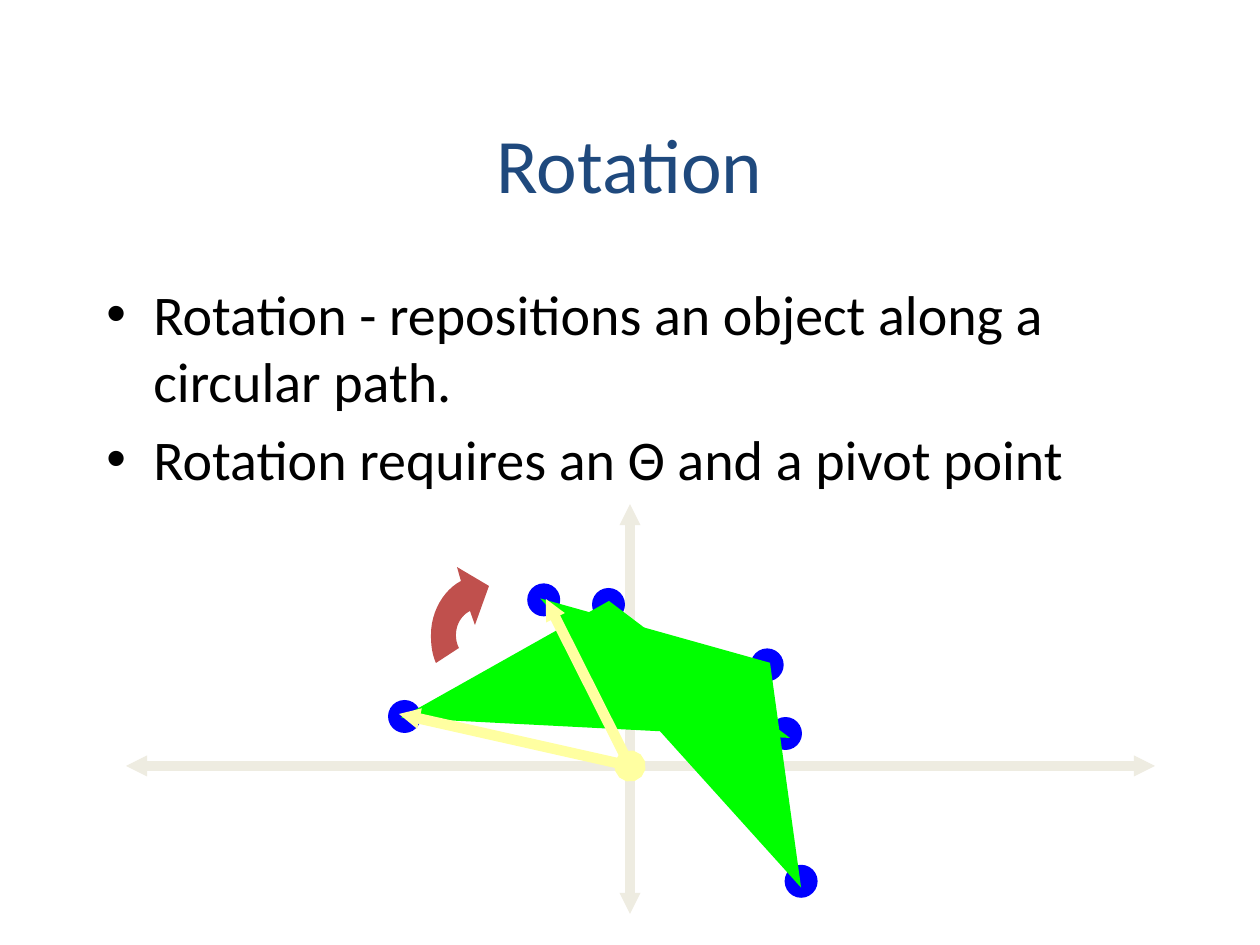
from lxml.etree import SubElement
from pptx import Presentation
from pptx.dml.color import RGBColor
from pptx.enum.shapes import MSO_CONNECTOR, MSO_SHAPE
from pptx.enum.text import MSO_ANCHOR, PP_ALIGN
from pptx.oxml.ns import qn
from pptx.util import Emu, Pt

PX = 914400 / 126
COLORS = {
    "title": "1F497D",
    "text": "000000",
    "axis": "EEECE1",
    "vertex": "0000FF",
    "triangle": "00FF00",
    "turn": "C0504D",
    "vector": "FFFFA1",
}


def px(value):
    return Emu(round(value * PX))


def curve(start, first, second, end, steps=12):
    """Points along a cubic Bezier curve, without its start."""
    points = []
    for step in range(1, steps + 1):
        t = step / steps
        weights = ((1 - t) ** 3, 3 * t * (1 - t) ** 2, 3 * t * t * (1 - t), t ** 3)
        points.append(tuple(
            sum(weight * value for weight, value in zip(weights, axis))
            for axis in zip(start, first, second, end)))
    return points


class SlidePainter:
    font_name = "Calibri"

    def __init__(self, slide):
        self.slide = slide

    def color(self, name):
        return RGBColor.from_string(COLORS[name])

    def paint(self, shape, color):
        shape.shadow.inherit = False
        shape.fill.solid()
        shape.fill.fore_color.rgb = self.color(color)
        shape.line.fill.background()

    def text(self, box, lines, size, color, anchor, para_format, bullet=None):
        frame = self.slide.shapes.add_textbox(*map(px, box)).text_frame
        frame.word_wrap = True
        frame.vertical_anchor = anchor
        for index, line in enumerate(lines):
            para = frame.add_paragraph() if index else frame.paragraphs[0]
            for name, value in para_format.items():
                setattr(para, name, value)
            if bullet:
                self.bullet(para, bullet)
            span = para.add_run()
            span.text = line
            for name, value in {"name": self.font_name, "size": Pt(size)}.items():
                setattr(span.font, name, value)
            span.font.color.rgb = self.color(color)

    def bullet(self, para, character, indent=47):
        properties = para._p.get_or_add_pPr()
        properties.set("marL", str(px(indent)))
        properties.set("indent", str(-px(indent)))
        SubElement(properties, qn("a:buFont"), typeface="Arial")
        SubElement(properties, qn("a:buChar"), char=character)

    def arrow(self, start, end, color, head=None, tail="triangle"):
        line = self.slide.shapes.add_connector(
            MSO_CONNECTOR.STRAIGHT, *map(px, (*start, *end)))
        line.line.width = Pt(6)
        line.line.color.rgb = self.color(color)
        outline = line.line._get_or_add_ln()
        for tag, kind in (("a:headEnd", head), ("a:tailEnd", tail)):
            if kind:
                size = "med" if kind == "oval" else "sm"
                SubElement(outline, qn(tag), type=kind, w=size, len=size)
        SubElement(line._element.spPr, qn("a:effectLst"))

    def outline(self, points, color, shapes=None):
        shapes = self.slide.shapes if shapes is None else shapes
        corners = [(px(x), px(y)) for x, y in points]
        builder = shapes.build_freeform(*corners[0])
        builder.add_line_segments(corners[1:], close=True)
        self.paint(builder.convert_to_shape(), color)

    def marked_triangle(self, shift=(0, 0), angle=0):
        group = self.slide.shapes.add_group_shape()
        for left, top in ((388, 700), (769, 717), (592, 588)):
            dot = group.shapes.add_shape(
                MSO_SHAPE.OVAL, px(left), px(top), px(33), px(33))
            self.paint(dot, "vertex")
        self.outline([(609, 601), (401, 718), (790, 738)], "triangle", group.shapes)
        group.left += px(shift[0])
        group.top += px(shift[1])
        group.rotation = angle


def main():
    deck = Presentation()
    deck.slide_width, deck.slide_height = px(1260), px(945)
    page = SlidePainter(deck.slides.add_slide(deck.slide_layouts[6]))

    # Title and definition
    page.text((94, 84, 1071, 158), ["Rotation"], 44, "title",
              MSO_ANCHOR.MIDDLE, {"alignment": PP_ALIGN.CENTER})
    page.text((94, 273, 1071, 567),
              ["Rotation - repositions an object along a circular path.",
               "Rotation requires an Θ and a pivot point"],
              32, "text", MSO_ANCHOR.TOP, {"space_before": Pt(6.4)}, bullet="•")

    # Axes
    page.arrow((630, 914), (630, 504), "axis", head="triangle")
    page.arrow((126, 766), (1155, 766), "axis", head="triangle")

    # Triangle before and after the turn
    page.marked_triangle()
    page.marked_triangle(shift=(117, 32), angle=45)

    # Curved arrow for the direction of the turn
    inner, outer = (470, 611), (436, 663)
    page.outline(
        [inner,
         *curve(inner, (462, 615), (456, 624), (456, 635)),
         *curve((456, 635), (456, 640), (457, 644), (459, 648)),
         outer,
         *curve(outer, (432, 654), (431, 645), (431, 635)),
         *curve((431, 635), (431, 611), (444, 590), (461, 581)),
         (457, 567), (489, 586), (475, 625)],
        "turn")

    # Vectors from the pivot point
    pivot = (630, 766)
    page.arrow(pivot, (399, 714), "vector", head="oval")
    page.arrow(pivot, (546, 599), "vector")

    deck.save("out.pptx")


if __name__ == "__main__":
    main()
